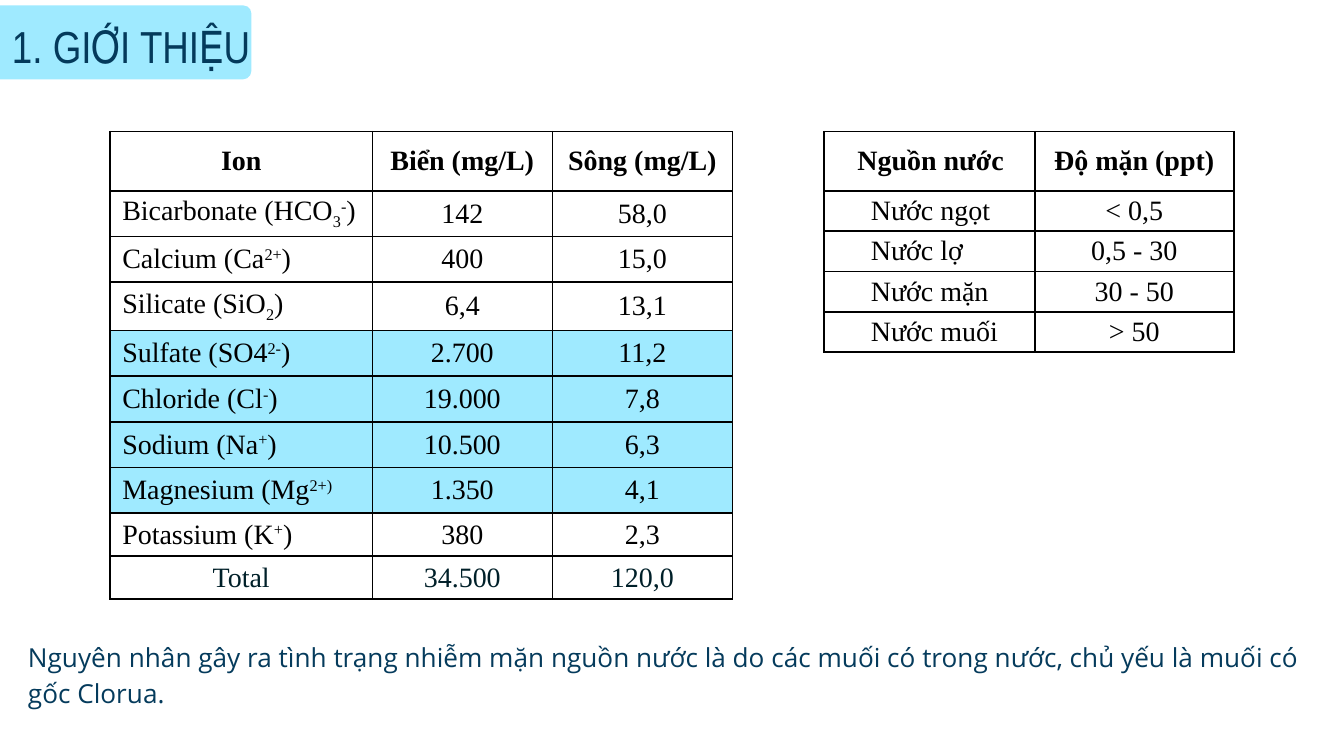
from pptx import Presentation
from pptx.dml.color import RGBColor
from pptx.enum.shapes import MSO_SHAPE
from pptx.enum.text import MSO_ANCHOR, PP_ALIGN
from pptx.oxml.ns import qn
from pptx.util import Inches, Pt
from lxml.etree import SubElement

COLORS = {"sky": "9FEAFF", "title": "043A5B", "note": "053B5C",
          "black": "000000", "total": "002029"}
BASELINES = {"_": "-25000", "^": "30000"}
IONS = [
    ("Ion", "Biển (mg/L)", "Sông (mg/L)"),
    ("Bicarbonate (HCO|_3|^-|)", "142", "58,0"),
    ("Calcium (Ca|^2+|)", "400", "15,0"),
    ("Silicate (SiO|_2|)", "6,4", "13,1"),
    ("Sulfate (SO4|^2-|)", "2.700", "11,2"),
    ("Chloride (Cl|^-|)", "19.000", "7,8"),
    ("Sodium (Na|^+|)", "10.500", "6,3"),
    ("Magnesium (Mg|^2+)", "1.350", "4,1"),
    ("Potassium (K|^+|)", "380", "2,3"),
    ("Total", "34.500", "120,0"),
]
SALINITY = [
    ("Nguồn nước", "Độ mặn (ppt)"),
    ("Nước ngọt", "< 0,5"),
    ("Nước lợ", "0,5 - 30"),
    ("Nước mặn", "30 - 50"),
    ("Nước muối", "> 50"),
]


def rgb(name):
    """Return the named palette colour."""
    return RGBColor.from_string(COLORS[name])


def set_font(p, name, size, color, bold=False):
    """Set the font of a whole paragraph."""
    p.font.name, p.font.size, p.font.bold = name, Pt(size), bold
    p.font.color.rgb = rgb(color)


def add_runs(p, text):
    """Add runs split at bars; a leading _ lowers a run and ^ raises it."""
    for part in text.split("|"):
        r = p.add_run()
        baseline = BASELINES.get(part[0])
        r.text = part[1:] if baseline else part
        if baseline:
            r._r.get_or_add_rPr().set("baseline", baseline)


def add_text(s, text, box, font, size, color):
    """Add a wrapping text box and return its paragraph."""
    tf = s.shapes.add_textbox(*map(Inches, box)).text_frame
    tf.word_wrap = True
    tf.margin_left = tf.margin_right = Inches(0.1)
    tf.margin_top = tf.margin_bottom = Inches(0.1)
    p = tf.paragraphs[0]
    p.text = text
    set_font(p, font, size, color)
    return p


def add_title_tab(s):
    """Add the tab with rounded right corners behind the title."""
    sp = s.shapes.add_shape(MSO_SHAPE.ROUND_2_SAME_RECTANGLE, Inches(0.66),
                            Inches(-0.62), Inches(0.55), Inches(1.87))
    sp.rotation = 90
    sp.adjustments[0], sp.adjustments[1] = 0.11, 0
    sp.shadow.inherit = False
    sp.fill.solid()
    sp.fill.fore_color.rgb = rgb("sky")
    sp.line.fill.background()


def add_borders(cell):
    """Draw thin black lines on all four sides of a cell."""
    tc_pr = cell._tc.get_or_add_tcPr()
    for side in "LRTB":
        ln = SubElement(tc_pr, qn(f"a:ln{side}"), w=str(Pt(1)))
        fill = SubElement(ln, qn("a:solidFill"))
        SubElement(fill, qn("a:srgbClr"), val=COLORS["black"])


def fill_cell(cell, text, margin, align, color, bold, shaded, indents):
    """Write and style one table cell."""
    cell.vertical_anchor = MSO_ANCHOR.MIDDLE
    cell.margin_left = cell.margin_right = Inches(margin)
    cell.margin_top = cell.margin_bottom = 0
    add_borders(cell)
    if shaded:
        cell.fill.solid()
        cell.fill.fore_color.rgb = rgb("sky")
    else:
        cell.fill.background()
    p = cell.text_frame.paragraphs[0]
    p.alignment = align
    for name, indent in zip(("marL", "indent"), indents):
        p._p.get_or_add_pPr().set(name, str(Inches(indent)))
    add_runs(p, text)
    set_font(p, "Times New Roman", 15, color, bold)


def add_grid(s, rows, left, widths, heights, margin,
             header_indent=0, label_indent=0, shaded=()):
    """Add a table with a bold header and a justified first column."""
    table = s.shapes.add_table(
        len(rows), len(widths), Inches(left), Inches(0.98),
        Inches(sum(widths)), Inches(sum(heights))).table
    table.first_row = table.horz_banding = False
    for column, width in zip(table.columns, widths):
        column.width = Inches(width)
    for i, (values, height) in enumerate(zip(rows, heights)):
        table.rows[i].height = Inches(height)
        total = values[0] == "Total"
        for j, text in enumerate(values):
            label = j == 0 and i > 0 and not total
            indents = (label_indent if label else 0,
                       header_indent if i == j == 0 else 0)
            fill_cell(table.cell(i, j), text, margin,
                      PP_ALIGN.JUSTIFY if label else PP_ALIGN.CENTER,
                      "total" if total else "black", i == 0, i in shaded,
                      indents)


def main():
    """Build the slide and save it."""
    prs = Presentation()
    prs.slide_width, prs.slide_height = Inches(10), Inches(10 * 9 / 16)
    s = prs.slides.add_slide(prs.slide_layouts[6])
    add_title_tab(s)
    add_text(s, "1. GIỚI THIỆU", (-0.01, 0.04, 7.51, 0.55),
             "Arial Narrow", 24, "title")
    add_grid(s, IONS, 0.82, [1.95, 1.34, 1.34],
             [0.44, 0.34, 0.34, 0.36] + [0.34] * 4 + [0.32] * 2,
             0.09, shaded=range(4, 8))
    add_grid(s, SALINITY, 6.13, [1.57, 1.48], [0.44] + [0.3] * 4,
             0.07, header_indent=0.02, label_indent=0.28)
    note = add_text(
        s, "Nguyên nhân gây ra tình trạng nhiễm mặn nguồn nước là do các muối "
        "có trong nước, chủ yếu là muối có gốc Clorua.",
        (0.11, 4.64, 10, 0.59), "Open Sans", 14, "note")
    note.line_spacing = 1.15
    prs.save("out.pptx")


if __name__ == "__main__":
    main()
